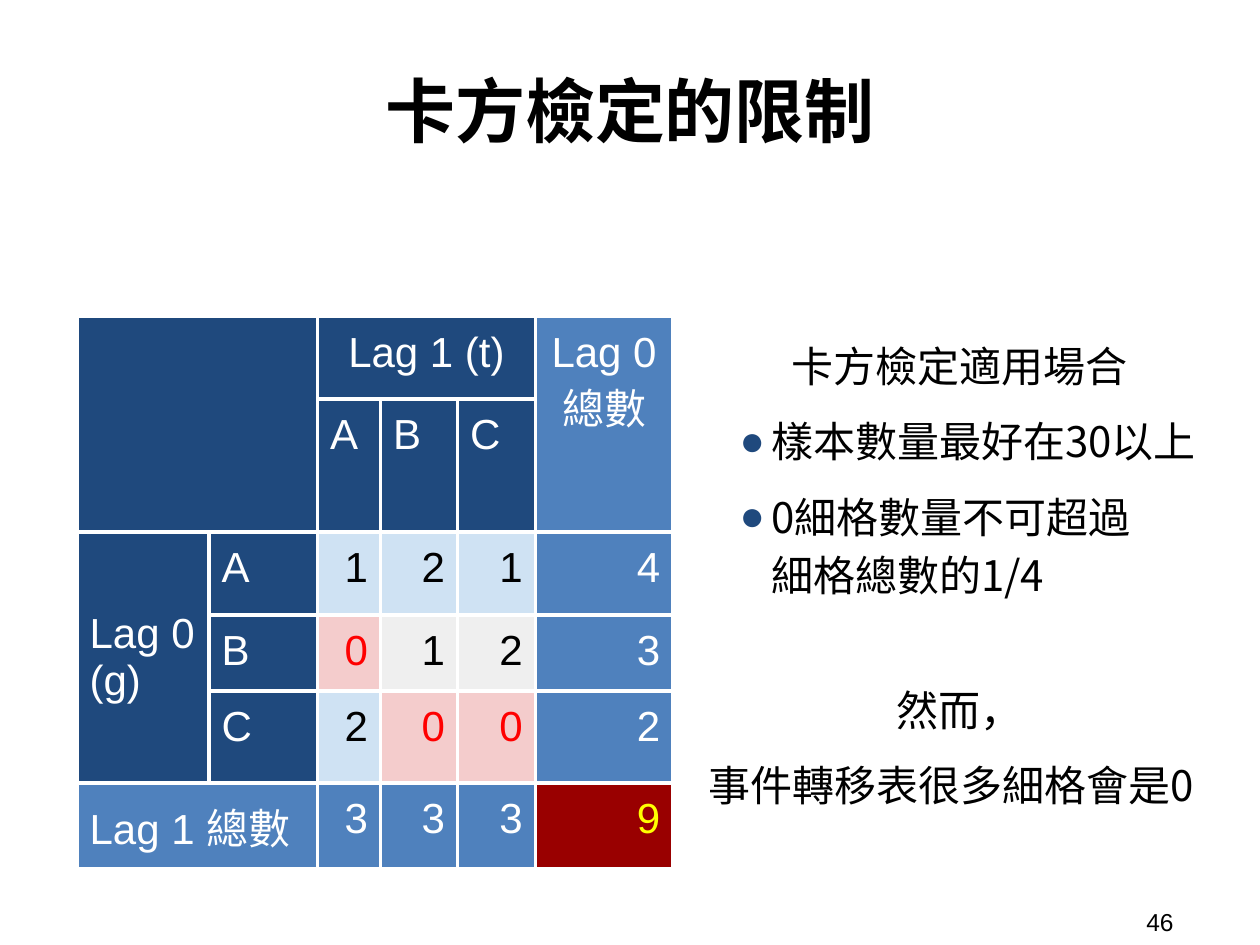
"""Build the slide on the limits of the chi-square test, with its transition table."""
from copy import deepcopy
from dataclasses import dataclass
from typing import Optional

from lxml import etree
from pptx import Presentation
from pptx.dml.color import RGBColor
from pptx.enum import text as t
from pptx.oxml import ns
from pptx.util import Pt

COLORS = {
    "black": "000000", "white": "FFFFFF", "navy": "1F497D", "blue": "4F81BD",
    "pale": "CFE2F3", "grey": "EFEFEF", "pink": "F4CCCC", "red": "FF0000",
    "maroon": "990000", "yellow": "FFFF00",
}
SANS, CJK = "Arial", "Noto Sans CJK TC"
LEFT, CENTER, RIGHT = t.PP_ALIGN.LEFT, t.PP_ALIGN.CENTER, t.PP_ALIGN.RIGHT
EVENTS = "ABC"
COUNTS = [[1, 2, 1], [0, 1, 2], [2, 0, 0]]
COLUMN_WIDTHS = [75.5, 62, 36, 44, 44.5, 78.5]
ROW_HEIGHTS = [47, 76, 47.5, 43.5, 52.5, 48]


@dataclass
class Cell:
    row: int
    column: int
    words: str
    fill: str
    ink: str = "white"
    align: t.PP_ALIGN = LEFT
    middle: bool = False
    rows: int = 1
    columns: int = 1


@dataclass
class Statement:
    words: str
    align: t.PP_ALIGN = LEFT
    bullet: bool = False
    before: float = 0
    after: float = 10


def rgb(name: str) -> RGBColor:
    return RGBColor.from_string(COLORS[name])


def child(parent, tag: str, **attributes: str):
    return etree.SubElement(parent, ns.qn(tag), attributes)


def write(paragraph, words: str, *, size: float = 24, font: str = SANS,
          color: str = "black", bold: bool = False, align: t.PP_ALIGN = LEFT,
          spacing: Optional[float] = None, before: float = 0, after: float = 0,
          bullet: bool = False) -> None:
    paragraph.alignment = align
    paragraph.space_before, paragraph.space_after = Pt(before), Pt(after)
    if spacing:
        paragraph.line_spacing = spacing
    properties = paragraph._p.get_or_add_pPr()
    properties.set("marL", str(Pt(36 if bullet else 0)))
    properties.set("indent", str(Pt(-18 if bullet else 0)))
    if bullet:
        child(child(properties, "a:buClr"), "a:srgbClr", val=COLORS["navy"])
        child(properties, "a:buFont", typeface=SANS)
        child(properties, "a:buChar", char="●")
    else:
        child(properties, "a:buNone")
    paragraph.text = words
    for run in paragraph.runs:
        run.font.size, run.font.name, run.font.bold = Pt(size), font, bold
        run.font.color.rgb = rgb(color)
        latin = run._r.rPr.find(ns.qn("a:latin"))
        latin.addnext(etree.Element(ns.qn("a:ea"), typeface=CJK))
    for line_break in paragraph._p.findall(ns.qn("a:br")):
        line_break.insert(0, deepcopy(paragraph.runs[0]._r.rPr))


def place(shape, left: float, top: float, width: float, height: float,
          inset: float = 7.2) -> None:
    shape.left, shape.top = Pt(left), Pt(top)
    shape.width, shape.height = Pt(width), Pt(height)
    frame = shape.text_frame
    frame.auto_size, frame.word_wrap = t.MSO_AUTO_SIZE.NONE, True
    frame.vertical_anchor = t.MSO_ANCHOR.MIDDLE
    frame.margin_left = frame.margin_right = Pt(7.2)
    frame.margin_top = frame.margin_bottom = Pt(inset)


def outline(cell) -> None:
    properties = cell._tc.get_or_add_tcPr()
    for position, side in enumerate(("a:lnL", "a:lnR", "a:lnT", "a:lnB")):
        line = etree.Element(ns.qn(side), w=str(Pt(2.25)))
        child(child(line, "a:solidFill"), "a:srgbClr", val=COLORS["white"])
        properties.insert(position, line)


def transition_cells() -> list[Cell]:
    cells = [
        Cell(0, 0, "", "navy", rows=2, columns=2),
        Cell(0, 2, "Lag 1 (t)", "navy", align=CENTER, columns=3),
        Cell(0, 5, "Lag 0\n總數", "blue", align=CENTER, rows=2),
        Cell(2, 0, "Lag 0\n(g)", "navy", middle=True, rows=3),
        Cell(5, 0, "Lag 1 總數", "blue", middle=True, columns=2),
        Cell(5, 5, str(sum(map(sum, COUNTS))), "maroon", "yellow", RIGHT),
    ]
    for i, (event, counts) in enumerate(zip(EVENTS, COUNTS)):
        lag_1_total = sum(row[i] for row in COUNTS)
        cells += [
            Cell(1, i + 2, event, "navy"),
            Cell(i + 2, 1, event, "navy"),
            Cell(i + 2, 5, str(sum(counts)), "blue", align=RIGHT),
            Cell(5, i + 2, str(lag_1_total), "blue", align=RIGHT),
        ]
        band = "grey" if i % 2 else "pale"
        for j, count in enumerate(counts):
            fill, ink = (band, "black") if count else ("pink", "red")
            cells.append(Cell(i + 2, j + 2, str(count), fill, ink, RIGHT))
    return cells


def draw_table(slide) -> None:
    frame = slide.shapes.add_table(
        len(ROW_HEIGHTS), len(COLUMN_WIDTHS), Pt(44), Pt(181),
        Pt(sum(COLUMN_WIDTHS)), Pt(sum(ROW_HEIGHTS)))
    table = frame.table
    table.first_row = table.horz_banding = False
    for column, width in zip(table.columns, COLUMN_WIDTHS):
        column.width = Pt(width)
    for row, height in zip(table.rows, ROW_HEIGHTS):
        row.height = Pt(height)
    for item in transition_cells():
        cell = table.cell(item.row, item.column)
        last = table.cell(item.row + item.rows - 1, item.column + item.columns - 1)
        if last is not cell and item.rows * item.columns > 1:
            cell.merge(last)
        cell.vertical_anchor = t.MSO_ANCHOR.MIDDLE if item.middle else t.MSO_ANCHOR.TOP
        cell.margin_left = cell.margin_right = Pt(7.2)
        cell.margin_top = cell.margin_bottom = Pt(7.2)
        for r in range(item.row, item.row + item.rows):
            for c in range(item.column, item.column + item.columns):
                covered = table.cell(r, c)
                covered.fill.solid()
                covered.fill.fore_color.rgb = rgb(item.fill)
                outline(covered)
        for i, line in enumerate(item.words.splitlines()):
            paragraph = cell.text_frame.add_paragraph() if i else cell.text_frame.paragraphs[0]
            write(paragraph, line, color=item.ink, align=item.align)


def draw_statements(body) -> None:
    place(body, 397.5, 141, 301.5, 371)
    statements = [
        Statement("卡方檢定適用場合", CENTER),
        Statement("樣本數量最好在30以上", bullet=True),
        Statement("0細格數量不可超過\v細格總數的1/4", bullet=True, after=0),
        Statement("然而，", CENTER, before=44),
        Statement("事件轉移表很多細格會是0"),
    ]
    frame = body.text_frame
    for i, item in enumerate(statements):
        paragraph = frame.add_paragraph() if i else frame.paragraphs[0]
        write(paragraph, item.words, font=CJK, align=item.align, spacing=1.15,
              before=item.before, after=item.after, bullet=item.bullet)


def main() -> None:
    deck = Presentation()
    deck.slide_width, deck.slide_height = Pt(720), Pt(540)
    slide = deck.slides.add_slide(deck.slide_layouts[1])
    title = slide.shapes.title
    place(title, 37.5, 13.5, 645, 98)
    write(title.text_frame.paragraphs[0], "卡方檢定的限制", size=40, font=CJK,
          bold=True, align=CENTER)
    draw_statements(slide.placeholders[1])
    page_number = slide.shapes.add_textbox(0, 0, 0, 0)
    place(page_number, 648, 516, 66, 21, inset=3.6)
    write(page_number.text_frame.paragraphs[0], "46", size=14)
    draw_table(slide)
    deck.save("out.pptx")


if __name__ == "__main__":
    main()
